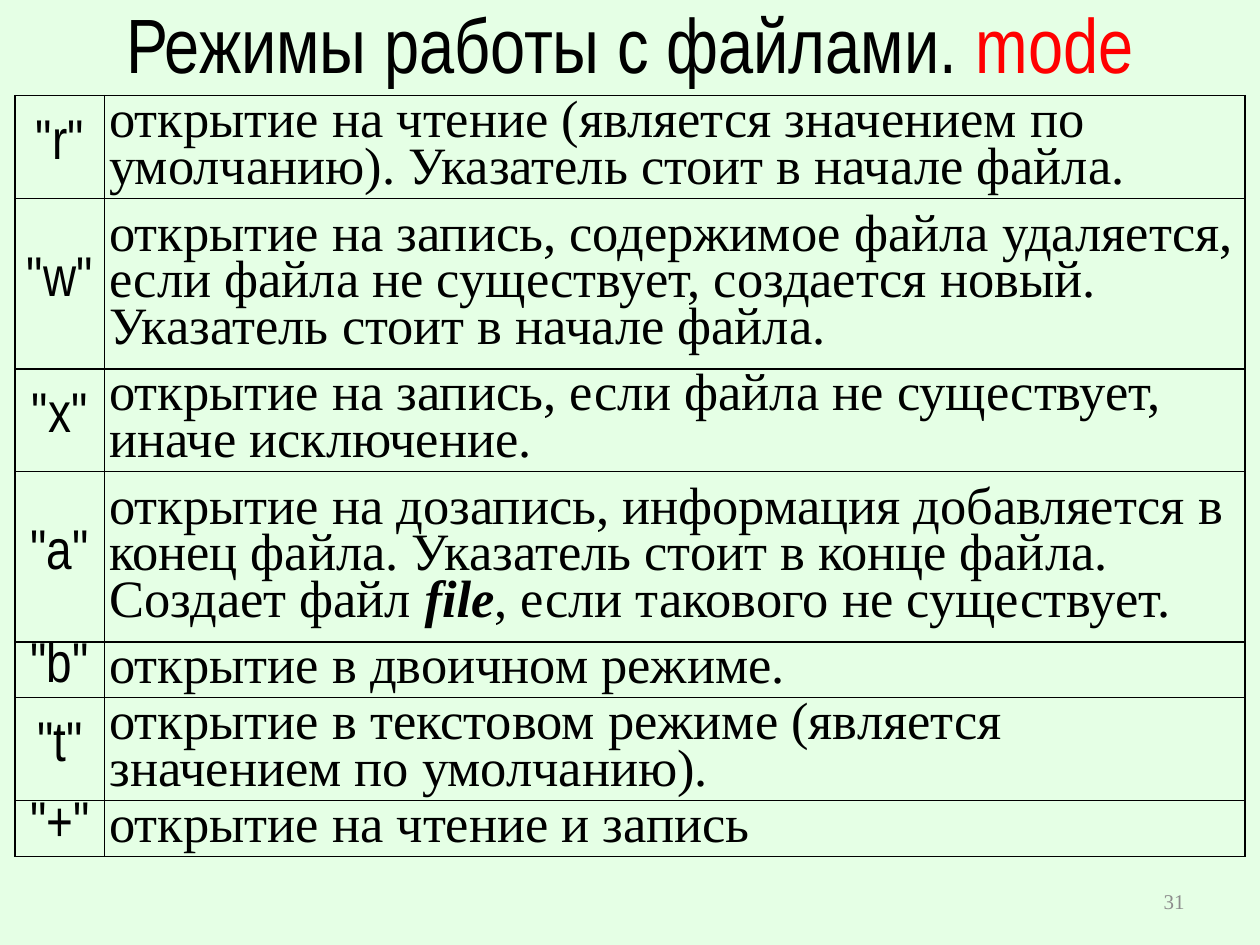
from dataclasses import dataclass

from lxml import etree
from pptx import Presentation
from pptx.dml.color import RGBColor
from pptx.enum.text import MSO_ANCHOR, PP_ALIGN
from pptx.oxml.ns import qn
from pptx.util import Pt

LEFT, CENTER, RIGHT = PP_ALIGN.LEFT, PP_ALIGN.CENTER, PP_ALIGN.RIGHT
MIDDLE = MSO_ANCHOR.MIDDLE


@dataclass(frozen=True)
class Theme:
    back: str = "E5FFE5"
    ink: str = "000000"
    accent: str = "FF0000"
    muted: str = "8C8C8C"
    sans: str = "Arial Narrow"
    serif: str = "Times New Roman"
    title: int = 44
    key: int = 32
    body: int = 30
    small: int = 12
    line: int = 1
    side: float = 2.88
    edge: float = 0.6


T = Theme()

# Row height, mode, description as (text, emphasis) parts
MODES = [
    (51.1, "r", [("открытие на чтение (является значением по умолчанию). "
                  "Указатель стоит в начале файла.", False)]),
    (97.2, "w", [("открытие на запись, содержимое файла удаляется, "
                  "если файла не существует, создается новый. "
                  "Указатель стоит в начале файла.", False)]),
    (51.1, "x", [("открытие на запись, если файла не существует, "
                  "иначе исключение.", False)]),
    (97.2, "a", [("открытие на дозапись, информация добавляется в конец "
                  "файла. Указатель стоит в конце файла. Создает файл ", False),
                 ("file", True),
                 (", если такового не существует.", False)]),
    (27.4, "b", [("открытие в двоичном режиме.", False)]),
    (51.1, "t", [("открытие в текстовом режиме "
                  "(является значением по умолчанию).", False)]),
    (27.4, "+", [("открытие на чтение и запись", False)]),
]


def write(para, text, font=T.serif, size=T.body, color=T.ink,
          strong=False, align=LEFT, space=None):
    """Add one run to a paragraph and format both."""
    para.alignment = align
    if space:
        para.line_spacing = space
    run = para.add_run()
    run.text = text
    face = run.font
    face.name, face.size = font, Pt(size)
    face.bold = face.italic = strong
    face.color.rgb = RGBColor.from_string(color)


def add_box(slide, box):
    """Add a wrapped, middle-anchored text box; return its paragraph."""
    frame = slide.shapes.add_textbox(*map(Pt, box)).text_frame
    frame.word_wrap = True
    frame.vertical_anchor = MIDDLE
    return frame.paragraphs[0]


def add_title(slide, box):
    para = add_box(slide, box)
    style = dict(font=T.sans, size=T.title, align=CENTER)
    write(para, "Режимы работы с файлами. ", **style)
    write(para, "mode", color=T.accent, **style)


def add_number(slide, box):
    write(add_box(slide, box), "31", size=T.small, color=T.muted, align=RIGHT)


def style_cell(cell):
    """Give a cell thin borders, no fill and small margins."""
    props = cell._tc.get_or_add_tcPr()
    for side in ("a:lnL", "a:lnR", "a:lnT", "a:lnB"):
        line = etree.SubElement(props, qn(side), w=str(Pt(T.line)))
        fill = etree.SubElement(line, qn("a:solidFill"))
        etree.SubElement(fill, qn("a:srgbClr"), val=T.ink)
    cell.fill.background()
    cell.vertical_anchor = MIDDLE
    cell.margin_left = cell.margin_right = Pt(T.side)
    cell.margin_top = cell.margin_bottom = Pt(T.edge)


def add_modes(slide, box, key=51.1):
    left, top, width = box
    high = sum(row[0] for row in MODES)
    table = slide.shapes.add_table(
        len(MODES), 2, *map(Pt, (left, top, width, high))).table
    table.first_row = table.horz_banding = False
    for col, size in zip(table.columns, (key, width - key)):
        col.width = Pt(size)
    for row, (size, mode, parts) in zip(table.rows, MODES):
        row.height = Pt(size)
        for cell in row.cells:
            style_cell(cell)
        name, note = (c.text_frame.paragraphs[0] for c in row.cells)
        write(name, f'"{mode}"', font=T.sans, size=T.key,
              align=CENTER, space=0.8)
        for text, strong in parts:
            write(note, text, strong=strong, space=0.8)


def main():
    deck = Presentation()
    deck.slide_width, deck.slide_height = Pt(720), Pt(540)
    slide = deck.slides.add_slide(deck.slide_layouts[6])
    fill = slide.background.fill
    fill.solid()
    fill.fore_color.rgb = RGBColor.from_string(T.back)

    add_title(slide, (8.6, 0, 702.8, 49))
    add_number(slide, (516, 500.5, 168, 28.8))
    add_modes(slide, (8.6, 54.7, 702.8))
    deck.save("out.pptx")


if __name__ == "__main__":
    main()
